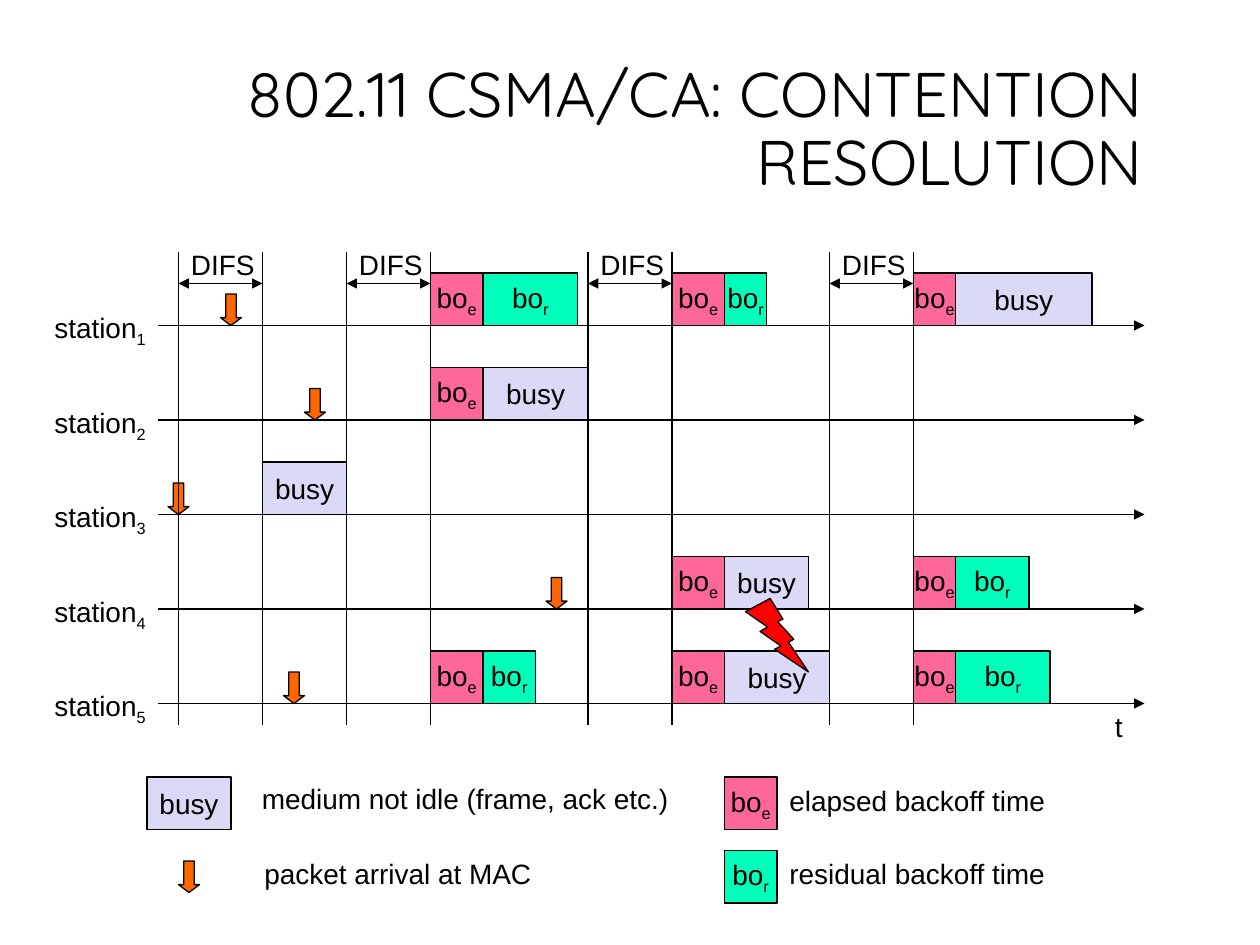
import lxml.etree
import pptx
import pptx.dml.color
import pptx.enum.shapes
import pptx.enum.text
import pptx.oxml.ns
import pptx.util

Inches = pptx.util.Inches
Pt = pptx.util.Pt
SHAPES = pptx.enum.shapes.MSO_SHAPE
ANCHOR = pptx.enum.text.MSO_ANCHOR
ALIGN = pptx.enum.text.PP_ALIGN
AUTO = pptx.enum.text.MSO_AUTO_SIZE

BUSY = ("busy", "", "DADAF6")
ELAPSED = ("bo", "e", "FF6699")
RESIDUAL = ("bo", "r", "01FFBC")


def colour(value):
    return pptx.dml.color.RGBColor.from_string(value)


def slots(count):
    return Inches(count / 12)


def apply_format(target, values):
    for attribute, value in values.items():
        setattr(target, attribute, value)


class TimingSlide:
    ink = colour("000000")
    stroke = Pt(0.75)
    body_font = {"name": "Arial", "size": Pt(16)}
    title_font = {"name": "Quicksand", "size": Pt(36)}

    def __init__(self, presentation):
        self.slide = presentation.slides.add_slide(presentation.slide_layouts[5])

    def title(self, words):
        heading = self.slide.shapes.title
        apply_format(heading, {"left": Inches(0.67), "top": Inches(0.58),
                               "width": Inches(8.5), "height": Inches(0.92)})
        frame = heading.text_frame
        frame.text = words
        apply_format(frame, {"vertical_anchor": ANCHOR.MIDDLE, "auto_size": AUTO.NONE,
                             "word_wrap": True})
        paragraph = frame.paragraphs[0]
        apply_format(paragraph, {"alignment": ALIGN.RIGHT, "line_spacing": 0.9})
        self.style_run(paragraph.runs[0], self.title_font)

    def style_run(self, run, font):
        apply_format(run.font, font)
        run.font.color.rgb = self.ink

    def add_words(self, paragraph, words, subscript):
        for text, baseline in ((words, None), (subscript, "-25000")):
            if text:
                run = paragraph.add_run()
                run.text = text
                self.style_run(run, self.body_font)
                if baseline:
                    run.font._element.set("baseline", baseline)

    def label(self, left, top, width, words, subscript=""):
        frame = self.slide.shapes.add_textbox(
            left, top, Inches(width), Inches(0.37)).text_frame
        apply_format(frame, {"word_wrap": False, "auto_size": AUTO.SHAPE_TO_FIT_TEXT})
        self.add_words(frame.paragraphs[0], words, subscript)

    def symbol(self, kind, left, top, width, height, fill):
        shape = self.slide.shapes.add_shape(kind, left, top, width, height)
        shape.shadow.inherit = False
        shape.fill.solid()
        shape.fill.fore_color.rgb = colour(fill)
        shape.line.color.rgb = self.ink
        shape.line.width = self.stroke
        return shape

    def block(self, left, top, width, kind):
        words, subscript, fill = kind
        frame = self.symbol(SHAPES.RECTANGLE, left, top, width, slots(5), fill).text_frame
        apply_format(frame, {"word_wrap": False, "vertical_anchor": ANCHOR.MIDDLE})
        paragraph = frame.paragraphs[0]
        paragraph.alignment = ALIGN.CENTER
        self.add_words(paragraph, words, subscript)

    def arrival(self, left, top):
        arrow = self.symbol(SHAPES.DOWN_ARROW, left, top, slots(2), slots(3), "FF6600")
        arrow.adjustments[0] = 0.5
        arrow.adjustments[1] = 0.375

    def line(self, x1, y1, x2, y2, arrowheads=()):
        connector = self.slide.shapes.add_connector(
            pptx.enum.shapes.MSO_CONNECTOR.STRAIGHT, x1, y1, x2, y2)
        connector.line.color.rgb = self.ink
        connector.line.width = self.stroke
        outline = connector.line._get_or_add_ln()
        for end in arrowheads:
            lxml.etree.SubElement(outline, pptx.oxml.ns.qn(f"a:{end}"), type="triangle")
        lxml.etree.SubElement(connector._element.spPr, pptx.oxml.ns.qn("a:effectLst"))


def main():
    presentation = pptx.Presentation()
    presentation.slide_width = Inches(10)
    presentation.slide_height = Inches(7.5)
    timing = TimingSlide(presentation)
    timing.title("802.11 CSMA/CA: CONTENTION RESOLUTION")

    axes = {station: 31 + 9 * (station - 1) for station in range(1, 6)}
    for station, axis in axes.items():
        timing.line(slots(15), slots(axis), slots(109), slots(axis), ["tailEnd"])
        timing.label(slots(4), slots(axis - 2), 0.94, "station", str(station))
    timing.label(slots(105), slots(axes[5]), 0.26, "t")

    arrivals = {1: 21, 2: 29, 3: 16, 4: 52, 5: 27}
    for station, left in arrivals.items():
        timing.arrival(slots(left), slots(axes[station] - 3))

    periods = [
        (1, 41, [(ELAPSED, 5), (RESIDUAL, 9)]),
        (1, 64, [(ELAPSED, 5), (RESIDUAL, 4)]),
        (1, 87, [(ELAPSED, 4), (BUSY, 13)]),
        (2, 41, [(ELAPSED, 5), (BUSY, 10)]),
        (3, 25, [(BUSY, 8)]),
        (4, 64, [(ELAPSED, 5), (BUSY, 8)]),
        (4, 87, [(ELAPSED, 4), (RESIDUAL, 7)]),
        (5, 41, [(ELAPSED, 5), (RESIDUAL, 5)]),
        (5, 64, [(ELAPSED, 5), (BUSY, 10)]),
        (5, 87, [(ELAPSED, 4), (RESIDUAL, 9)]),
    ]
    for station, left, blocks in periods:
        for kind, duration in blocks:
            timing.block(slots(left), slots(axes[station] - 5), slots(duration), kind)
            left += duration

    for start in (17, 33, 56, 79):
        end = start + 8
        for boundary in (start, end):
            timing.line(slots(boundary), slots(69), slots(boundary), slots(24))
        timing.label(slots(start), slots(23), 0.71, "DIFS")
        timing.line(slots(start), slots(27), slots(end), slots(27), ["headEnd", "tailEnd"])

    timing.symbol(SHAPES.LIGHTNING_BOLT, slots(71), slots(57), slots(6), slots(7), "FF0000")

    timing.block(slots(14), slots(74), slots(8), BUSY)
    timing.label(Inches(1.98), Inches(6.15), 3.51, "medium not idle (frame, ack etc.)")
    timing.arrival(slots(17), slots(82))
    timing.label(slots(24), slots(81), 2.33, "packet arrival at MAC")
    for kind, top, meaning in ((ELAPSED, 74, "elapsed backoff time"),
                               (RESIDUAL, 81, "residual backoff time")):
        timing.block(slots(69), slots(top), slots(5), kind)
        timing.label(slots(74), slots(top), 2.24, meaning)

    presentation.save("out.pptx")


if __name__ == "__main__":
    main()
